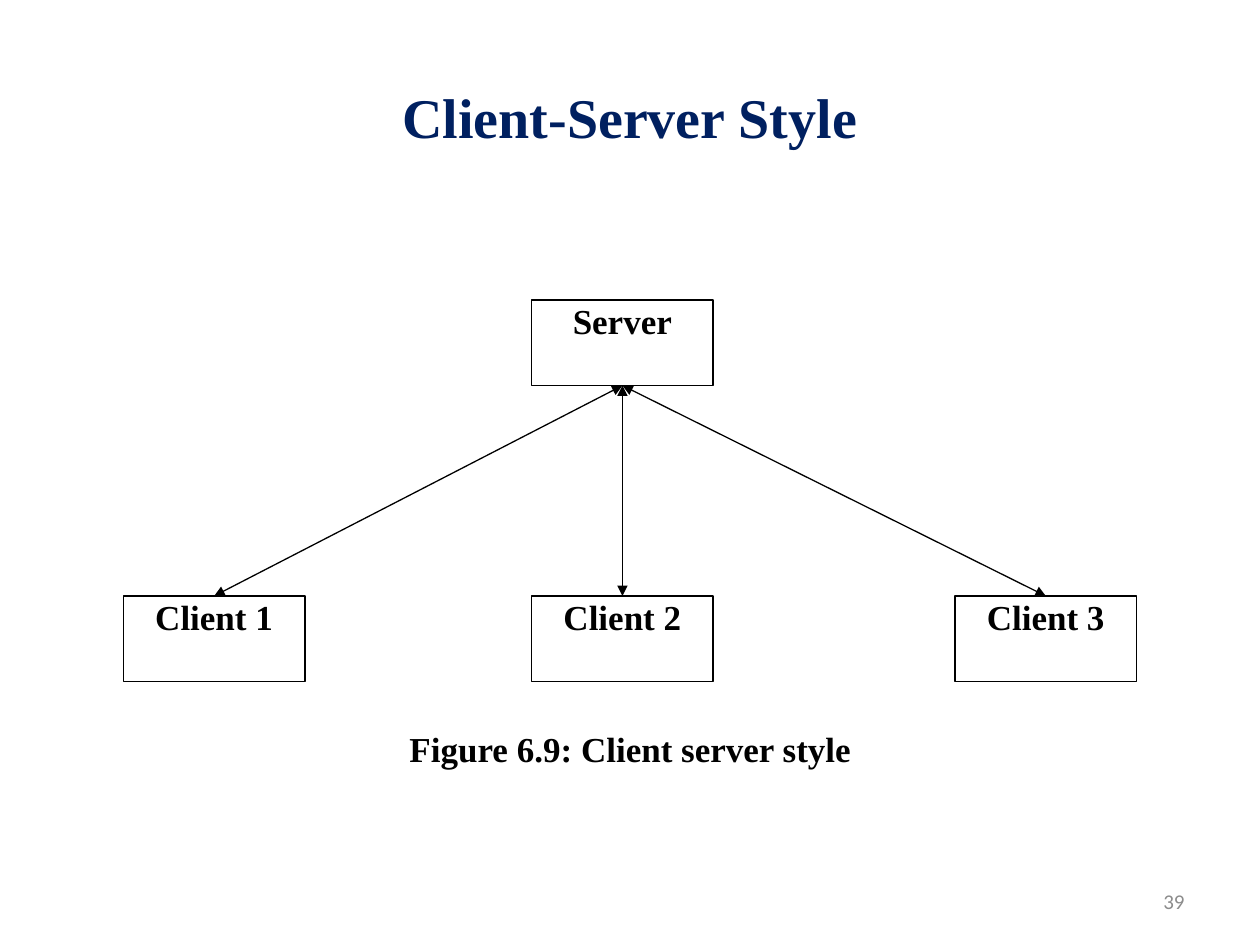
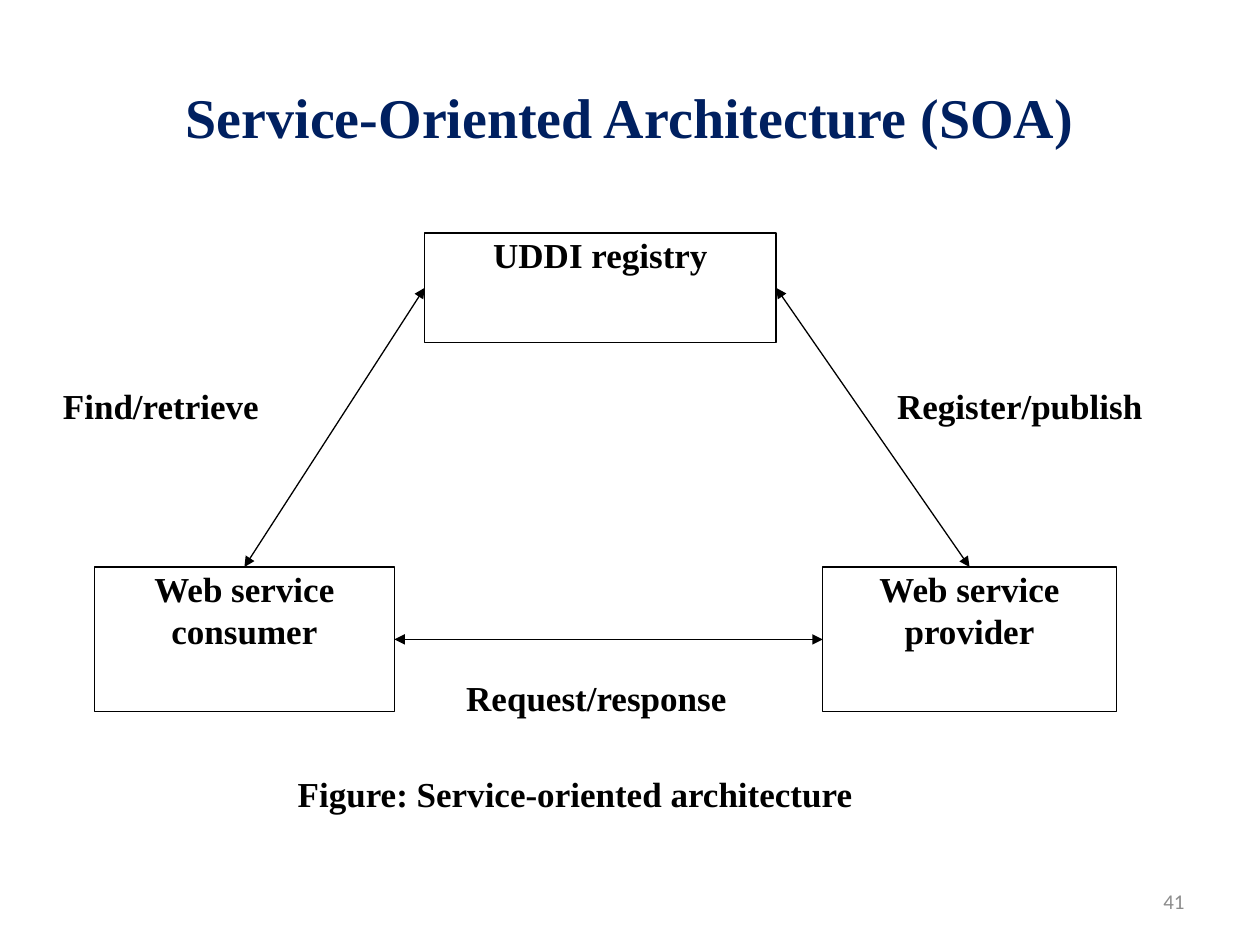
"""Build two slides on client-server and service-oriented architecture styles."""
from pptx import Presentation
from pptx.dml.color import RGBColor
from pptx.enum.shapes import MSO_CONNECTOR, MSO_SHAPE
from pptx.enum.text import MSO_ANCHOR, PP_ALIGN
from pptx.oxml.ns import qn
from pptx.util import Inches, Pt
from lxml import etree

NAVY = RGBColor(0x00, 0x20, 0x60)
BLACK = RGBColor(0x00, 0x00, 0x00)
WHITE = RGBColor(0xFF, 0xFF, 0xFF)
GRAY = RGBColor(0x8C, 0x8C, 0x8C)

SERIF = "Times New Roman"
SANS = "Calibri"
TITLE_ONLY = 5

LEFT, CENTER, RIGHT = PP_ALIGN.LEFT, PP_ALIGN.CENTER, PP_ALIGN.RIGHT
TOP, MIDDLE = MSO_ANCHOR.TOP, MSO_ANCHOR.MIDDLE
STRAIGHT = MSO_CONNECTOR.STRAIGHT
RECTANGLE, PROCESS = MSO_SHAPE.RECTANGLE, MSO_SHAPE.FLOWCHART_PROCESS
SITE_TOP, SITE_LEFT, SITE_BOTTOM, SITE_RIGHT = range(4)


class DiagramDeck:
    """Hold the shared style and the current slide."""

    def __init__(self):
        self.presentation = Presentation()
        self.presentation.slide_width = Inches(10)
        self.presentation.slide_height = Inches(7.5)
        self.slide = None

    def set_text(self, shape, text, size, color, align, anchor, font=SERIF, bold=True):
        frame = shape.text_frame
        frame.text = text
        frame.word_wrap = True
        frame.vertical_anchor = anchor
        paragraph = frame.paragraphs[0]
        paragraph.alignment = align
        paragraph.font.name = font
        paragraph.font.size = Pt(size)
        paragraph.font.bold = bold
        paragraph.font.color.rgb = color

    def start_slide(self, title, number):
        layout = self.presentation.slide_layouts[TITLE_ONLY]
        self.slide = self.presentation.slides.add_slide(layout)
        heading = self.slide.shapes.title
        heading.left, heading.top = Inches(0.5), Inches(0.3)
        heading.width, heading.height = Inches(9), Inches(1.25)
        self.set_text(heading, title, 32, NAVY, CENTER, MIDDLE)
        footer = self.slide.shapes.add_textbox(
            Inches(7.17), Inches(6.95), Inches(2.33), Inches(0.4))
        self.set_text(footer, str(number), 12, GRAY, RIGHT, MIDDLE, SANS, False)

    def box(self, text, left, top, width, height,
            kind=RECTANGLE, line=BLACK, align=CENTER):
        shape = self.slide.shapes.add_shape(
            kind, Inches(left), Inches(top), Inches(width), Inches(height))
        shape.shadow.inherit = False
        shape.fill.solid()
        shape.fill.fore_color.rgb = WHITE
        if line is None:
            shape.line.fill.background()
        else:
            shape.line.color.rgb = line
            shape.line.width = Pt(0.75)
        frame = shape.text_frame
        frame.margin_left = frame.margin_right = 0
        frame.margin_top = frame.margin_bottom = 0
        self.set_text(shape, text, 20, BLACK, align, TOP)
        return shape

    def label(self, text, left, top, width, height, align=LEFT):
        return self.box(text, left, top, width, height, line=None, align=align)

    def link(self, start, start_site, end, end_site):
        connector = self.slide.shapes.add_connector(STRAIGHT, 0, 0, 0, 0)
        connector.begin_connect(start, start_site)
        connector.end_connect(end, end_site)
        connector.line.color.rgb = BLACK
        connector.line.width = Pt(0.75)
        properties = connector._element.spPr
        outline = properties.find(qn("a:ln"))
        for end_tag in ("a:headEnd", "a:tailEnd"):
            etree.SubElement(outline, qn(end_tag), type="triangle")
        etree.SubElement(properties, qn("a:effectLst"))


def build_client_server(deck):
    deck.start_slide("Client-Server Style", 39)
    width, height = 1.44, 0.68
    server = deck.box("Server", 4.22, 2.38, width, height, PROCESS)
    for number, left in enumerate((0.98, 4.22, 7.58), start=1):
        client = deck.box(f"Client {number}", left, 4.73, width, height, PROCESS)
        deck.link(server, SITE_BOTTOM, client, SITE_TOP)
    deck.box("Figure 6.9: Client server style", 3.25, 5.77, 4, 0.47,
             line=WHITE, align=LEFT)


def build_service_oriented(deck):
    deck.start_slide("Service-Oriented Architecture (SOA)", 41)
    registry = deck.box("UDDI registry", 3.37, 1.85, 2.79, 0.87)
    provider = deck.box("Web service provider", 6.53, 4.5, 2.33, 1.15)
    consumer = deck.box("Web service consumer", 0.75, 4.5, 2.38, 1.15)
    deck.label("Request/response", 3.7, 5.37, 2.58, 0.49)
    deck.label("Find/retrieve", 0.5, 3.05, 1.94, 0.48)
    deck.label("Register/publish", 7.12, 3.05, 2.46, 0.48)
    deck.label("Figure: Service-oriented architecture", 1.39, 6.13, 6.35, 0.49, CENTER)
    deck.link(consumer, SITE_RIGHT, provider, SITE_LEFT)
    deck.link(consumer, SITE_TOP, registry, SITE_LEFT)
    deck.link(registry, SITE_RIGHT, provider, SITE_TOP)


deck = DiagramDeck()
build_client_server(deck)
build_service_oriented(deck)
deck.presentation.save("out.pptx")
